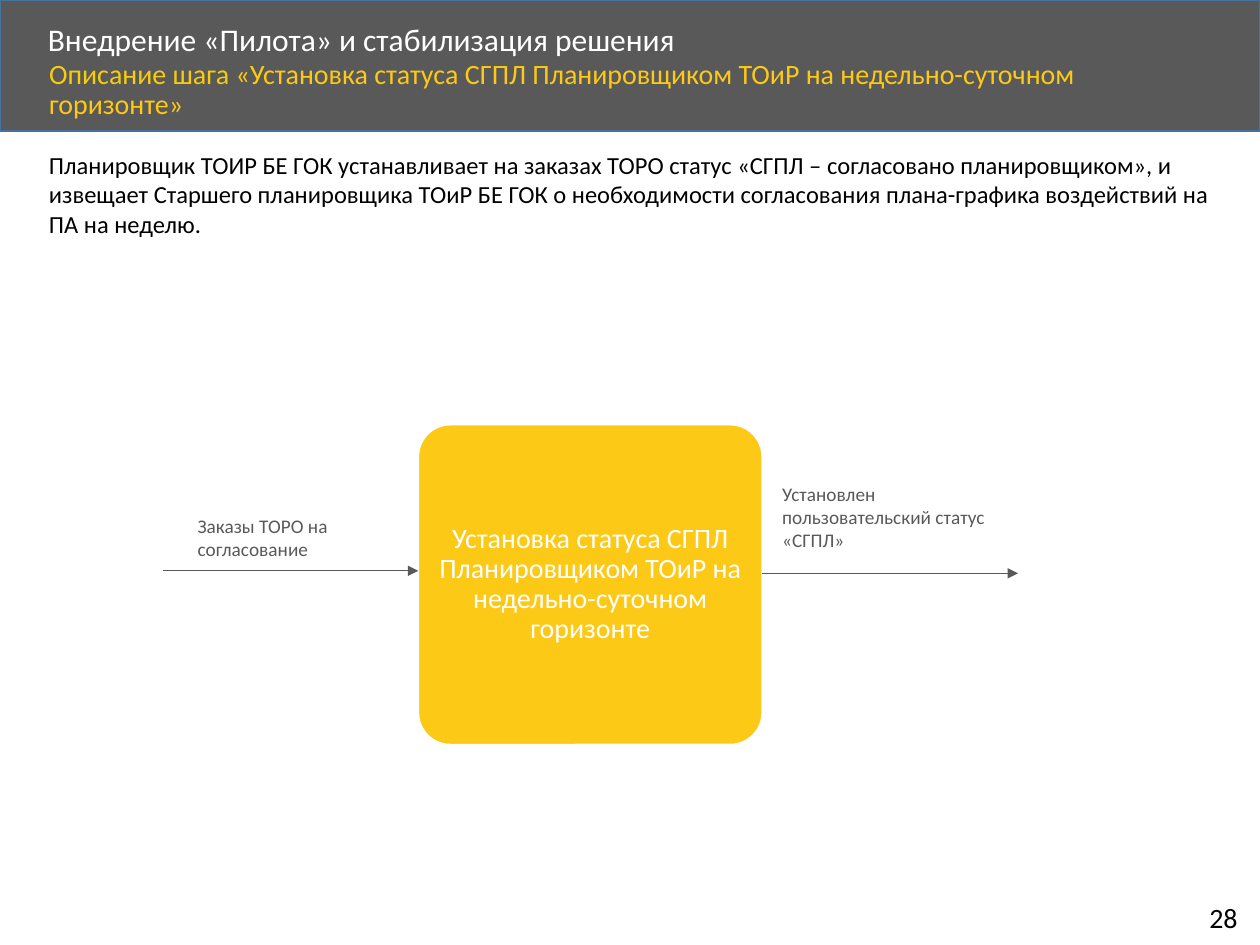
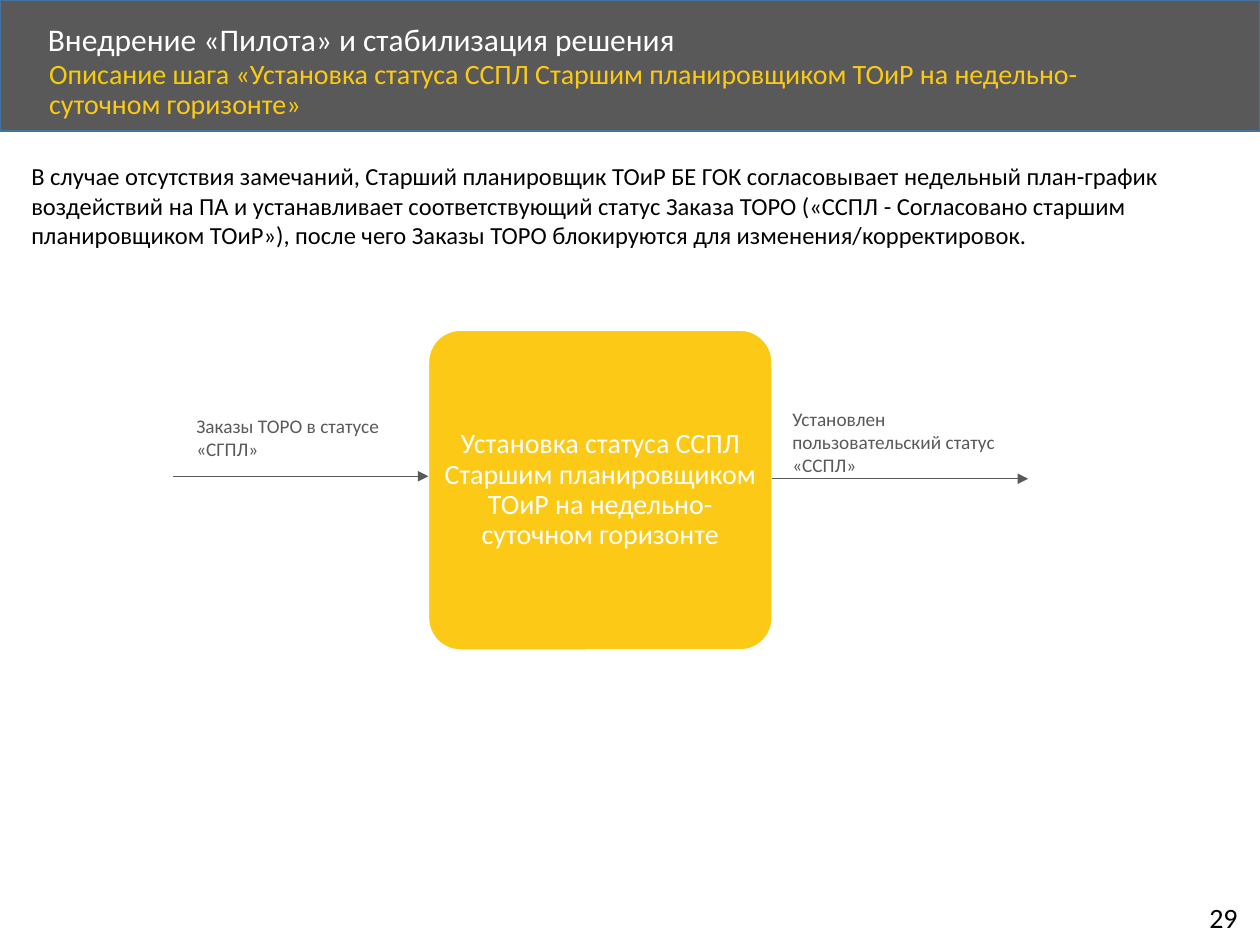
from dataclasses import dataclass

from lxml import etree
from pptx import Presentation
from pptx.dml.color import RGBColor
from pptx.enum.shapes import MSO_CONNECTOR, MSO_SHAPE
from pptx.enum.text import MSO_ANCHOR, MSO_AUTO_SIZE, PP_ALIGN
from pptx.oxml.ns import qn
from pptx.util import Inches, Pt

FONT = "Calibri"
WHITE = RGBColor(0xFF, 0xFF, 0xFF)
BLACK = RGBColor(0x00, 0x00, 0x00)
GRAY = RGBColor(0x59, 0x59, 0x59)
BAND_BORDER = RGBColor(0x43, 0x73, 0x9E)
YELLOW = RGBColor(0xFC, 0xC9, 0x17)
SUBTITLE_LEAD = RGBColor(0xF6, 0xCC, 0x0C)

SECTION_TITLE = "Внедрение «Пилота» и стабилизация решения"
STEP_WIDTH, STEP_HEIGHT = 2.73, 2.54
ARROW_LENGTH = 2.03
INPUT_ARROW_DROP, OUTPUT_ARROW_DROP = 1.16, 1.18


@dataclass
class Step:
    """Content of one slide; label offsets are measured from the step box."""
    number: int
    name: str
    description: str
    description_at: tuple
    box_at: tuple
    input_text: str
    input_offset: tuple
    output_text: str
    output_offset: tuple


STEPS = [
    Step(
        number=28,
        name="Установка статуса СГПЛ Планировщиком ТОиР на недельно-суточном горизонте",
        description="Планировщик ТОИР БЕ ГОК устанавливает на заказах ТОРО статус "
                    "«СГПЛ – согласовано планировщиком», и извещает Старшего планировщика "
                    "ТОиР БЕ ГОК о необходимости согласования плана-графика воздействий "
                    "на ПА на неделю.",
        description_at=(0.29, 1.14),
        box_at=(3.32, 3.37),
        input_text="Заказы ТОРО на согласование",
        input_offset=(-1.85, 0.66),
        output_text="Установлен пользовательский статус «СГПЛ»",
        output_offset=(2.79, 0.41),
    ),
    Step(
        number=29,
        name="Установка статуса ССПЛ Старшим планировщиком ТОиР на недельно-суточном горизонте",
        description="В случае отсутствия замечаний, Старший планировщик ТОиР БЕ ГОК "
                    "согласовывает недельный план-график воздействий на ПА и устанавливает "
                    "соответствующий статус Заказа ТОРО («ССПЛ - Cогласовано старшим "
                    "планировщиком ТОиР»), после чего Заказы ТОРО блокируются для "
                    "изменения/корректировок.",
        description_at=(0.15, 1.23),
        box_at=(3.4, 2.62),
        input_text="Заказы ТОРО в статусе «СГПЛ»",
        input_offset=(-1.94, 0.62),
        output_text="Установлен пользовательский статус «ССПЛ»",
        output_offset=(2.79, 0.56),
    ),
]


def place(shape, left, top, width, height):
    shape.left, shape.top = Inches(left), Inches(top)
    shape.width, shape.height = Inches(width), Inches(height)


def format_run(run, size, color):
    run.font.name = FONT
    run.font.size = Pt(size)
    run.font.color.rgb = color


def set_text(frame, text, size, color, anchor=MSO_ANCHOR.TOP,
             alignment=PP_ALIGN.LEFT, line_spacing=1.0):
    frame.text = text
    frame.word_wrap = True
    frame.auto_size = MSO_AUTO_SIZE.NONE
    frame.vertical_anchor = anchor
    paragraph = frame.paragraphs[0]
    paragraph.alignment = alignment
    paragraph.line_spacing = line_spacing
    paragraph.space_before = Pt(0)
    format_run(paragraph.runs[0], size, color)


def add_text(slide, box, text, size, color):
    text_box = slide.shapes.add_textbox(*map(Inches, box))
    set_text(text_box.text_frame, text, size, color)
    return text_box


def add_filled_shape(slide, kind, box, fill, border):
    shape = slide.shapes.add_shape(kind, *map(Inches, box))
    shape.shadow.inherit = False
    shape.fill.solid()
    shape.fill.fore_color.rgb = fill
    shape.line.color.rgb = border
    shape.line.width = Pt(1)
    return shape


def add_arrow(slide, left, top):
    """Add a horizontal arrow pointing right."""
    arrow = slide.shapes.add_connector(
        MSO_CONNECTOR.STRAIGHT, Inches(left), Inches(top),
        Inches(left + ARROW_LENGTH), Inches(top))
    arrow.line.color.rgb = GRAY
    arrow.line.width = Pt(0.5)
    etree.SubElement(arrow.line._get_or_add_ln(), qn("a:tailEnd"), type="triangle")
    etree.SubElement(arrow._element.spPr, qn("a:effectLst"))


def add_header(slide, step_name):
    band = add_filled_shape(slide, MSO_SHAPE.RECTANGLE, (0, 0, 10, 1.04), GRAY, BAND_BORDER)
    slide.shapes.element.insert(2, band.element)  # behind the placeholders

    title = slide.shapes.title
    place(title, 0.28, 0.14, 8.07, 0.38)
    set_text(title.text_frame, SECTION_TITLE, 18, WHITE, MSO_ANCHOR.MIDDLE, line_spacing=0.9)

    subtitle = slide.placeholders[1]
    place(subtitle, 0.29, 0.43, 8.67, 0.45)
    set_text(subtitle.text_frame, "Описание шага ", 16, SUBTITLE_LEAD, line_spacing=0.9)
    paragraph = subtitle.text_frame.paragraphs[0]
    properties = paragraph._p.get_or_add_pPr()
    properties.set("marL", "0")
    properties.set("indent", "0")
    etree.SubElement(properties, qn("a:buNone"))
    name_run = paragraph.add_run()
    name_run.text = f"«{step_name}»"
    format_run(name_run, 16, YELLOW)


def add_page_number(slide, number):
    text_box = add_text(slide, (9.5, 7.1, 0.46, 0.37), str(number), 16, BLACK)
    text_box.text_frame.word_wrap = False


def add_step_diagram(slide, step):
    left, top = step.box_at
    box = add_filled_shape(slide, MSO_SHAPE.ROUNDED_RECTANGLE,
                           (left, top, STEP_WIDTH, STEP_HEIGHT), YELLOW, WHITE)
    box.adjustments[0] = 0.1
    frame = box.text_frame
    frame.margin_left = frame.margin_right = frame.margin_top = frame.margin_bottom = 0
    set_text(frame, step.name, 16, WHITE, MSO_ANCHOR.MIDDLE, PP_ALIGN.CENTER, 0.9)

    add_arrow(slide, left - ARROW_LENGTH, top + INPUT_ARROW_DROP)
    add_arrow(slide, left + STEP_WIDTH, top + OUTPUT_ARROW_DROP)
    labels = [(step.input_text, step.input_offset, 0.47),
              (step.output_text, step.output_offset, 0.66)]
    for text, (across, down), height in labels:
        add_text(slide, (left + across, top + down, 2, height), text, 11, GRAY)


def add_step_slide(presentation, step):
    slide = presentation.slides.add_slide(presentation.slide_layouts[1])
    add_header(slide, step.name)
    add_text(slide, (*step.description_at, 9.46, 0.81), step.description, 14, BLACK)
    add_step_diagram(slide, step)
    add_page_number(slide, step.number)


def main():
    presentation = Presentation()
    presentation.slide_width, presentation.slide_height = Inches(10), Inches(7.5)
    for step in STEPS:
        add_step_slide(presentation, step)
    presentation.save("out.pptx")


if __name__ == "__main__":
    main()
